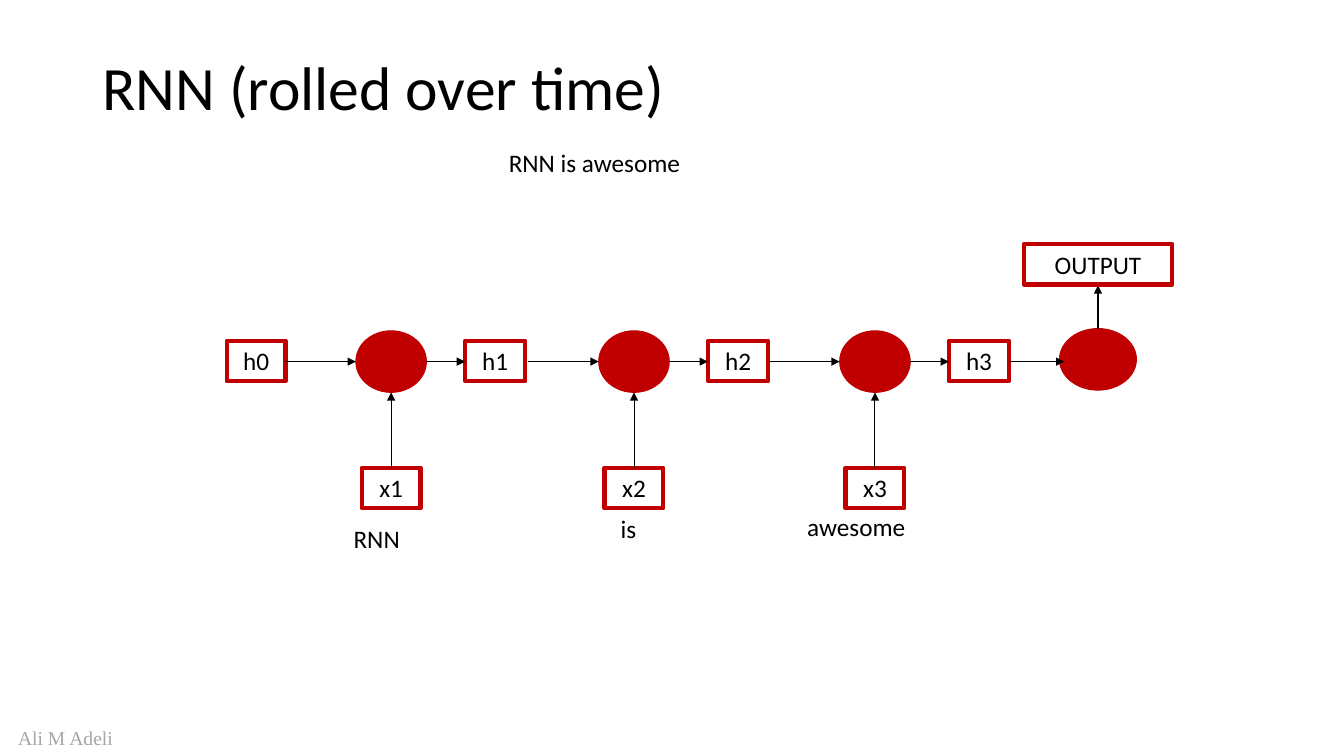
from lxml import etree
from pptx import Presentation
from pptx import util as u
from pptx.dml.color import RGBColor
from pptx.enum import shapes, text
from pptx.oxml import ns

COLORS = {"black": "000000", "white": "FFFFFF", "red": "C00000", "grey": "A6A6A6"}
AXIS = 258.3
BOX_HEIGHT = 29
CELL_WIDTH, CELL_HEIGHT = 50.4, 44
INPUT_TOP = 334
STEPS = [
    (279.4, "RNN", 245.5, 370, 67),
    (452.9, "is", 436.3, 363, 86),
    (625, "awesome", 569.5, 361.4, 120),
]


def color(name):
    """Return a named colour."""
    return RGBColor.from_string(COLORS[name])


def add_run(frame, content, size=18, font="Calibri", ink="black"):
    """Append one styled run to the first paragraph and return the paragraph."""
    paragraph = frame.paragraphs[0]
    run = paragraph.add_run()
    run.text = content
    run.font.size = u.Pt(size)
    run.font.name = font
    run.font.color.rgb = color(ink)
    return paragraph


def add_label(slide, content, left, top, width, height=BOX_HEIGHT, wrap=True, **style):
    """Add a left-aligned text box."""
    box = slide.shapes.add_textbox(u.Pt(left), u.Pt(top), u.Pt(width), u.Pt(height))
    box.text_frame.word_wrap = wrap
    add_run(box.text_frame, content, **style)
    return box.text_frame


def add_figure(slide, kind, center, middle, width, height, fill, weight):
    """Add a red-outlined preset shape around a centre point."""
    shape = slide.shapes.add_shape(kind, u.Pt(center - width / 2), u.Pt(middle - height / 2),
                                   u.Pt(width), u.Pt(height))
    shape.shadow.inherit = False
    shape.fill.solid()
    shape.fill.fore_color.rgb = color(fill)
    shape.line.color.rgb = color("red")
    shape.line.width = u.Pt(weight)
    return shape


def add_state(slide, content, center, middle, width):
    """Add a white box holding a centred name."""
    shape = add_figure(slide, shapes.MSO_SHAPE.RECTANGLE, center, middle, width,
                       BOX_HEIGHT, "white", 3)
    shape.text_frame.vertical_anchor = text.MSO_ANCHOR.TOP
    add_run(shape.text_frame, content).alignment = text.PP_ALIGN.CENTER


def add_cell(slide, center, middle, width):
    """Add a red network cell."""
    add_figure(slide, shapes.MSO_SHAPE.OVAL, center, middle, width, CELL_HEIGHT, "red", 0.75)


def add_arrow(slide, x1, y1, x2, y2):
    """Add a thin black arrow."""
    arrow = slide.shapes.add_connector(shapes.MSO_CONNECTOR.STRAIGHT,
                                       u.Pt(x1), u.Pt(y1), u.Pt(x2), u.Pt(y2))
    arrow.line.color.rgb = color("black")
    arrow.line.width = u.Pt(0.75)
    etree.SubElement(arrow.line._get_or_add_ln(), ns.qn("a:tailEnd"), type="triangle")
    etree.SubElement(arrow._element.spPr, ns.qn("a:effectLst"))


def add_step(slide, number, center):
    """Add one time step: input, cell, next hidden state and their arrows."""
    cell_left, cell_right = center - CELL_WIDTH / 2, center + CELL_WIDTH / 2
    add_state(slide, f"x{number}", center, INPUT_TOP + BOX_HEIGHT / 2, 42)
    add_cell(slide, center, AXIS, CELL_WIDTH)
    add_state(slide, f"h{number}", center + 74.3, AXIS - 0.5, 43)
    add_arrow(slide, cell_left - 50.4, AXIS, cell_left, AXIS)
    add_arrow(slide, center, INPUT_TOP, center, AXIS + CELL_HEIGHT / 2)
    add_arrow(slide, cell_right, AXIS, cell_right + 27.6, AXIS)


def main():
    """Build the slide and save it."""
    presentation = Presentation()
    presentation.slide_width, presentation.slide_height = u.Pt(960), u.Pt(540)
    slide = presentation.slides.add_slide(presentation.slide_layouts[6])

    add_label(slide, "Ali M Adeli", 5.8, 514.8, 106, 24.5,
              size=14, font="Times New Roman", ink="grey")
    title = add_label(slide, "RNN (rolled over time)", 66, 28.8, 828, 72, size=44)
    title.vertical_anchor = text.MSO_ANCHOR.MIDDLE
    title.paragraphs[0].line_spacing = 0.9
    add_label(slide, "RNN is awesome", 356.4, 101.5, 138, wrap=False)

    add_state(slide, "h0", 183, AXIS - 0.5, 42)
    for number, (center, word, left, top, width) in enumerate(STEPS, 1):
        add_step(slide, number, center)
        add_label(slide, word, left, top, width)

    output_center = 784.3
    add_cell(slide, output_center, 256.7, 55)
    add_arrow(slide, 720.7, AXIS, 760.3, AXIS)
    add_arrow(slide, output_center, 234.7, output_center, 203.8)
    add_state(slide, "OUTPUT", output_center, 188.7, 106)
    presentation.save("out.pptx")


if __name__ == "__main__":
    main()
